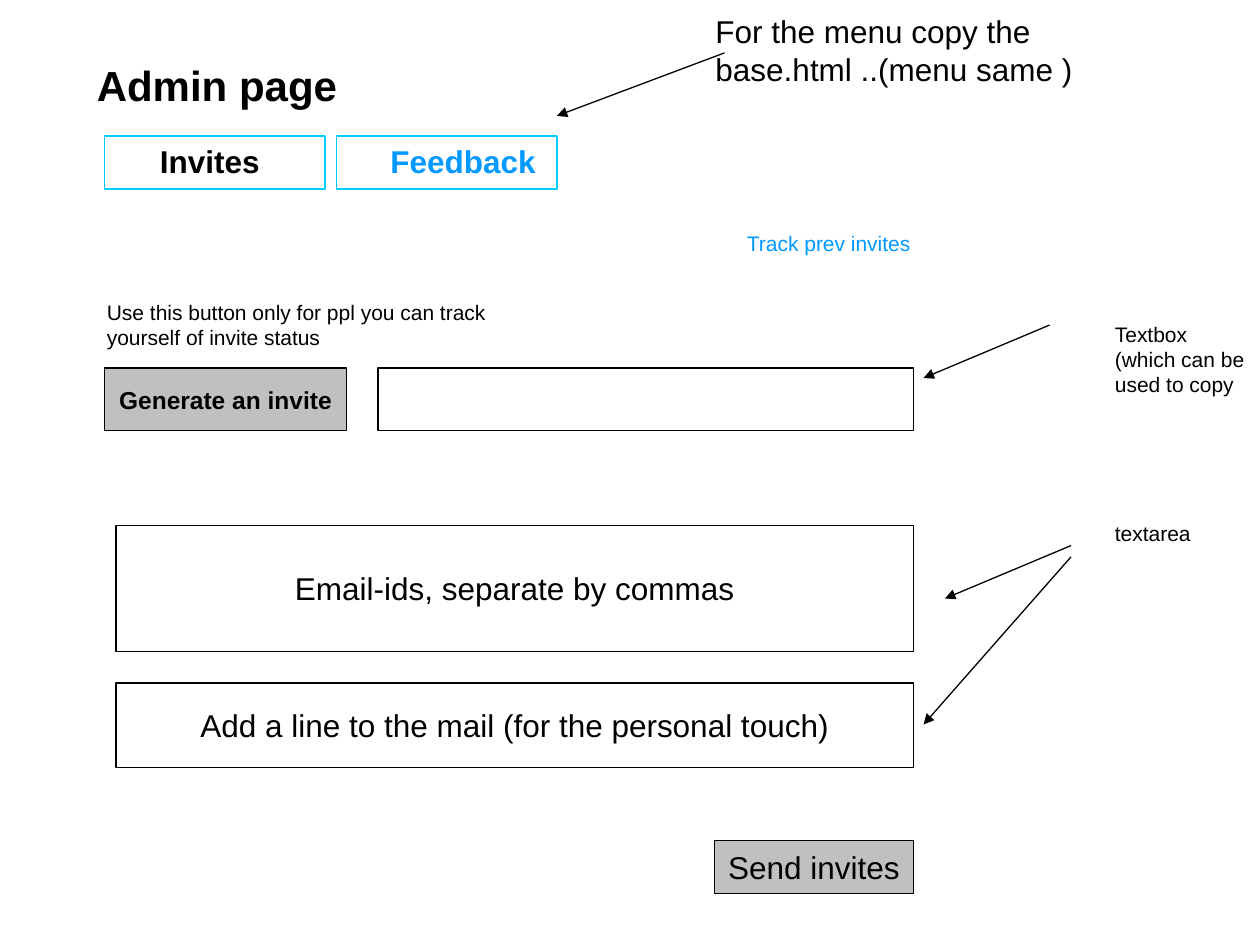
from lxml import etree
from pptx import Presentation
from pptx.dml.color import RGBColor
from pptx.enum import shapes, text
from pptx.oxml import ns
from pptx.util import Inches, Pt

BLACK, WHITE, GREY = "000000", "FFFFFF", "C0C0C0"
LINK_BLUE, TAB_BLUE = "0099FF", "00CCFF"
LINE_WIDTH = Pt(0.75)


def color(hex_value):
    return RGBColor.from_string(hex_value)


def write(frame, words, size, ink=BLACK, bold=False):
    frame.text = words
    for run in frame.paragraphs[0].runs:
        run.font.name = "Arial"
        run.font.size = Pt(size)
        run.font.bold = bold
        run.font.color.rgb = color(ink)


def add_label(slide, words, left, top, width, height, size,
              ink=BLACK, bold=False, wrap=True):
    box = slide.shapes.add_textbox(*map(Inches, (left, top, width, height)))
    box.text_frame.word_wrap = wrap
    write(box.text_frame, words, size, ink, bold)


def add_box(slide, left, top, width, height, fill=WHITE, outline=BLACK,
            words="", size=18, bold=False):
    box = slide.shapes.add_shape(shapes.MSO_SHAPE.RECTANGLE,
                                 *map(Inches, (left, top, width, height)))
    box.shadow.inherit = False
    box.fill.solid()
    box.fill.fore_color.rgb = color(fill)
    box.line.color.rgb = color(outline)
    box.line.width = LINE_WIDTH
    if words:
        frame = box.text_frame
        frame.word_wrap = False
        frame.vertical_anchor = text.MSO_ANCHOR.MIDDLE
        write(frame, words, size, bold=bold)
        frame.paragraphs[0].alignment = text.PP_ALIGN.CENTER


def add_arrow(slide, start, end):
    arrow = slide.shapes.add_connector(shapes.MSO_CONNECTOR.STRAIGHT,
                                       *map(Inches, start + end))
    arrow.line.color.rgb = color(BLACK)
    arrow.line.width = LINE_WIDTH
    etree.SubElement(arrow.line._get_or_add_ln(), ns.qn("a:tailEnd"),
                     type="triangle")
    etree.SubElement(arrow._element.spPr, ns.qn("a:effectLst"))


def add_menu(slide):
    top = 1.08
    for left, label_left, label_width, words, ink in (
            (0.83, 1.17, 0.99, "Invites", BLACK),
            (2.67, 3, 1.35, "Feedback", LINK_BLUE)):
        add_box(slide, left, top, 1.75, 0.42, outline=TAB_BLUE)
        add_label(slide, words, label_left, top, label_width, 0.4, 18,
                  ink, bold=True, wrap=False)


def add_invite_form(slide):
    add_label(slide, "Track prev invites", 5.83, 1.78, 1.83, 0.3, 12, LINK_BLUE)
    add_label(slide, "Use this button only for ppl you can track yourself "
              "of invite status", 0.75, 2.33, 3.33, 0.5, 12)
    add_box(slide, 0.83, 2.92, 1.92, 0.5, GREY,
            words="Generate an invite", size=14, bold=True)
    add_box(slide, 3, 2.92, 4.25, 0.5)
    add_box(slide, 0.92, 4.17, 6.33, 1, words="Email-ids, separate by commas")
    add_box(slide, 0.92, 5.42, 6.33, 0.67,
            words="Add a line to the mail (for the personal touch)")
    add_box(slide, 5.67, 6.67, 1.58, 0.42, GREY, words="Send invites")


def add_annotations(slide):
    add_arrow(slide, (5.75, 0.42), (4.42, 0.92))
    add_label(slide, "For the menu copy the base.html ..(menu same )",
              5.58, 0.05, 3.58, 0.7, 18)
    add_arrow(slide, (8.33, 2.58), (7.33, 3))
    add_label(slide, "Textbox (which can be used to copy",
              8.75, 2.5, 1.25, 0.7, 12)
    add_arrow(slide, (8.5, 4.33), (7.5, 4.75))
    add_label(slide, "textarea", 8.75, 4.08, 1.25, 0.3, 12)
    add_arrow(slide, (8.5, 4.42), (7.33, 5.75))


def main():
    deck = Presentation()
    deck.slide_width, deck.slide_height = Inches(10), Inches(7.5)
    slide = deck.slides.add_slide(deck.slide_layouts[6])
    add_label(slide, "Admin page", 0.67, 0.42, 4.17, 0.5, 24, bold=True)
    add_menu(slide)
    add_invite_form(slide)
    add_annotations(slide)
    deck.save("out.pptx")


if __name__ == "__main__":
    main()
